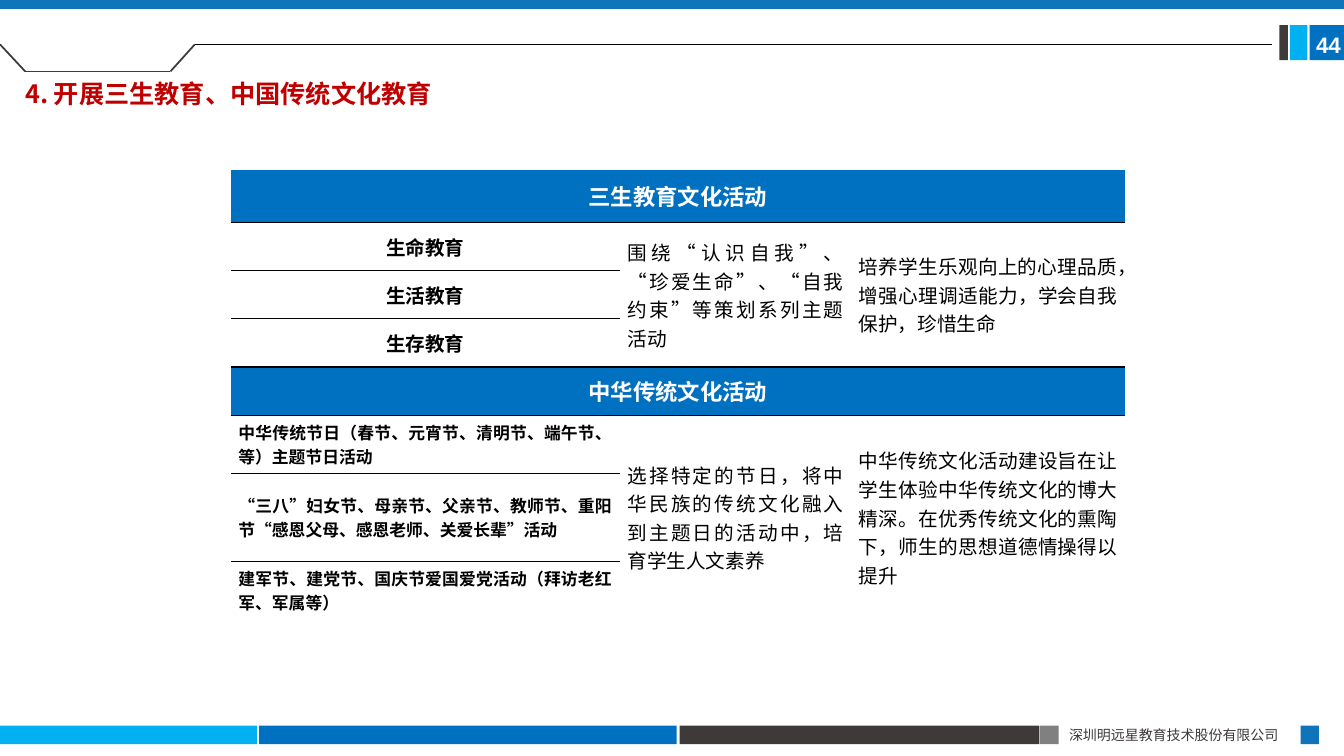
"""Builds a slide on life education and traditional culture activities."""
from lxml import etree
from pptx import Presentation
from pptx.dml import color
from pptx.enum import shapes, text
from pptx.oxml import ns
from pptx.util import Pt

COLOURS = {
    "sky": "00B0F0", "blue": "0070C0", "steel": "1074BB", "dark": "3E3A39",
    "grey": "808080", "red": "C00000", "white": "FFFFFF", "black": "000000",
}
CJK = "Noto Sans CJK SC"
ALIGN = text.PP_ALIGN
CELL_STYLES = {
    "band": (16, "white", True, ALIGN.CENTER),
    "topic": (14, "black", True, ALIGN.CENTER),
    "event": (12, "black", True, ALIGN.JUSTIFY),
    "detail": (14, "black", False, ALIGN.JUSTIFY),
}
ACTIVITIES = {
    (0, 0): ("三生教育文化活动", "band"),
    (1, 0): ("生命教育", "topic"),
    (1, 1): ("围绕“认识自我”、“珍爱生命”、“自我约束”等策划系列主题活动", "detail"),
    (1, 2): ("培养学生乐观向上的心理品质，增强心理调适能力，学会自我保护，珍惜生命", "detail"),
    (2, 0): ("生活教育", "topic"),
    (3, 0): ("生存教育", "topic"),
    (4, 0): ("中华传统文化活动", "band"),
    (5, 0): ("中华传统节日（春节、元宵节、清明节、端午节、等）主题节日活动", "event"),
    (5, 1): ("选择特定的节日，将中华民族的传统文化融入到主题日的活动中，培育学生人文素养", "detail"),
    (5, 2): ("中华传统文化活动建设旨在让学生体验中华传统文化的博大精深。"
             "在优秀传统文化的熏陶下，师生的思想道德情操得以提升", "detail"),
    (6, 0): ("“三八”妇女节、母亲节、父亲节、教师节、重阳节“感恩父母、感恩老师、关爱长辈”活动", "event"),
    (7, 0): ("建军节、建党节、国庆节爱国爱党活动（拜访老红军、军属等）", "event"),
}
MERGES = {(0, 0): (1, 3), (4, 0): (1, 3),
          (1, 1): (3, 1), (1, 2): (3, 1), (5, 1): (3, 1), (5, 2): (3, 1)}


class Painter:
    def __init__(self, slide):
        self.slide = slide

    def paint(self, fill, name):
        fill.solid()
        fill.fore_color.rgb = color.RGBColor.from_string(COLOURS[name])

    def fill_text(self, frame, words, size, colour, bold=False, align=ALIGN.LEFT, face=CJK):
        frame.text = words
        paragraph = frame.paragraphs[0]
        paragraph.alignment = align
        font = paragraph.font
        font.size, font.bold, font.name = Pt(size), bold, face
        self.paint(font.fill, colour)
        defaults = paragraph._p.pPr.find(ns.qn("a:defRPr"))
        etree.SubElement(defaults, ns.qn("a:ea"), typeface=face)
        return paragraph

    def title(self, words, left, top, width, height):
        heading = self.slide.shapes.title
        heading.left, heading.top = Pt(left), Pt(top)
        heading.width, heading.height = Pt(width), Pt(height)
        frame = heading.text_frame
        frame.word_wrap = True
        frame.auto_size = text.MSO_AUTO_SIZE.NONE
        frame.vertical_anchor = text.MSO_ANCHOR.TOP
        self.fill_text(frame, words, 18, "red", True).line_spacing = 0.83

    def bar(self, left, top, width, height, colour):
        block = self.slide.shapes.add_shape(
            shapes.MSO_SHAPE.RECTANGLE, Pt(left), Pt(top), Pt(width), Pt(height))
        block.shadow.inherit = False
        self.paint(block.fill, colour)
        block.line.fill.background()

    def line(self, start, end, colour, weight):
        rule = self.slide.shapes.add_connector(
            shapes.MSO_CONNECTOR.STRAIGHT, *map(Pt, start + end))
        self.paint(rule.line.fill, colour)
        rule.line.width = Pt(weight)
        etree.SubElement(rule._element.spPr, ns.qn("a:effectLst"))

    def label(self, words, left, top, width, height, *style):
        frame = self.slide.shapes.add_textbox(
            Pt(left), Pt(top), Pt(width), Pt(height)).text_frame
        frame.word_wrap = True
        self.fill_text(frame, words, *style)

    def borders(self, cell, sides):
        properties = cell._tc.get_or_add_tcPr()
        for place, side in enumerate("LRTB"):
            edge = etree.Element(ns.qn(f"a:ln{side}"), w=str(Pt(1)))
            if side in sides:
                solid = etree.SubElement(edge, ns.qn("a:solidFill"))
                etree.SubElement(solid, ns.qn("a:srgbClr"), val=COLOURS["black"])
            else:
                etree.SubElement(edge, ns.qn("a:noFill"))
            properties.insert(place, edge)

    def table(self, left, top, widths, heights, entries, merges):
        grid = self.slide.shapes.add_table(
            len(heights), len(widths), Pt(left), Pt(top),
            Pt(sum(widths)), Pt(sum(heights))).table
        grid.first_row = grid.horz_banding = False
        for column, width in zip(grid.columns, widths):
            column.width = Pt(width)
        last = len(heights) - 1
        for r, height in enumerate(heights):
            grid.rows[r].height = Pt(height)
            for c in range(len(widths)):
                cell = grid.cell(r, c)
                cell.fill.background()
                bottom = r + merges.get((r, c), (1, 1))[0] - 1
                self.borders(cell, ("T" if r else "") + ("B" if bottom < last else ""))
        for (r, c), (rows, columns) in merges.items():
            grid.cell(r, c).merge(grid.cell(r + rows - 1, c + columns - 1))
        for (r, c), (words, kind) in entries.items():
            cell = grid.cell(r, c)
            cell.margin_left = cell.margin_right = Pt(5.4)
            cell.margin_top = cell.margin_bottom = 0
            cell.vertical_anchor = text.MSO_ANCHOR.MIDDLE
            self.fill_text(cell.text_frame, words, *CELL_STYLES[kind])
            if kind == "band":
                self.paint(cell.fill, "blue")


def main():
    deck = Presentation()
    deck.slide_width, deck.slide_height = Pt(960), Pt(540)
    painter = Painter(deck.slides.add_slide(deck.slide_layouts[5]))
    for left, width, colour in ((0, 183.6, "sky"), (185.2, 298.2, "blue"), (485.4, 257, "dark"),
                                (743, 13.2, "grey"), (929, 13.2, "steel")):
        painter.bar(left, 518.4, width, 13.2, colour)
    for left, width, colour in ((935.4, 25, "blue"), (921.4, 12.4, "sky"), (913.8, 6.2, "dark")):
        painter.bar(left, 18, width, 25, colour)
    painter.bar(0, 0, 960, 6.4, "steel")
    outline = [(0, 31.7), (18, 51), (121.8, 51), (139.2, 31.7)]
    for start, end in zip(outline, outline[1:]):
        painter.line(start, end, "dark", 1.25)
    painter.line(outline[-1], (908.6, 31.7), "black", 0.5)
    painter.label("深圳明远星教育技术股份有限公司", 756.5, 515.5, 173, 19.4,
                  10, "dark", False, ALIGN.JUSTIFY)
    painter.label("44", 933, 18.7, 36, 26.6, 16, "white", True, ALIGN.LEFT, "Arial")
    painter.table(164.9, 121.2, (277.9, 165.2, 195.8),
                  (37.8, *[34.4] * 4, 41.8, 62.6, 41.8), ACTIVITIES, MERGES)
    painter.title("4. 开展三生教育、中国传统文化教育", 10.8, 56.2, 306, 46)
    deck.save("out.pptx")


if __name__ == "__main__":
    main()
